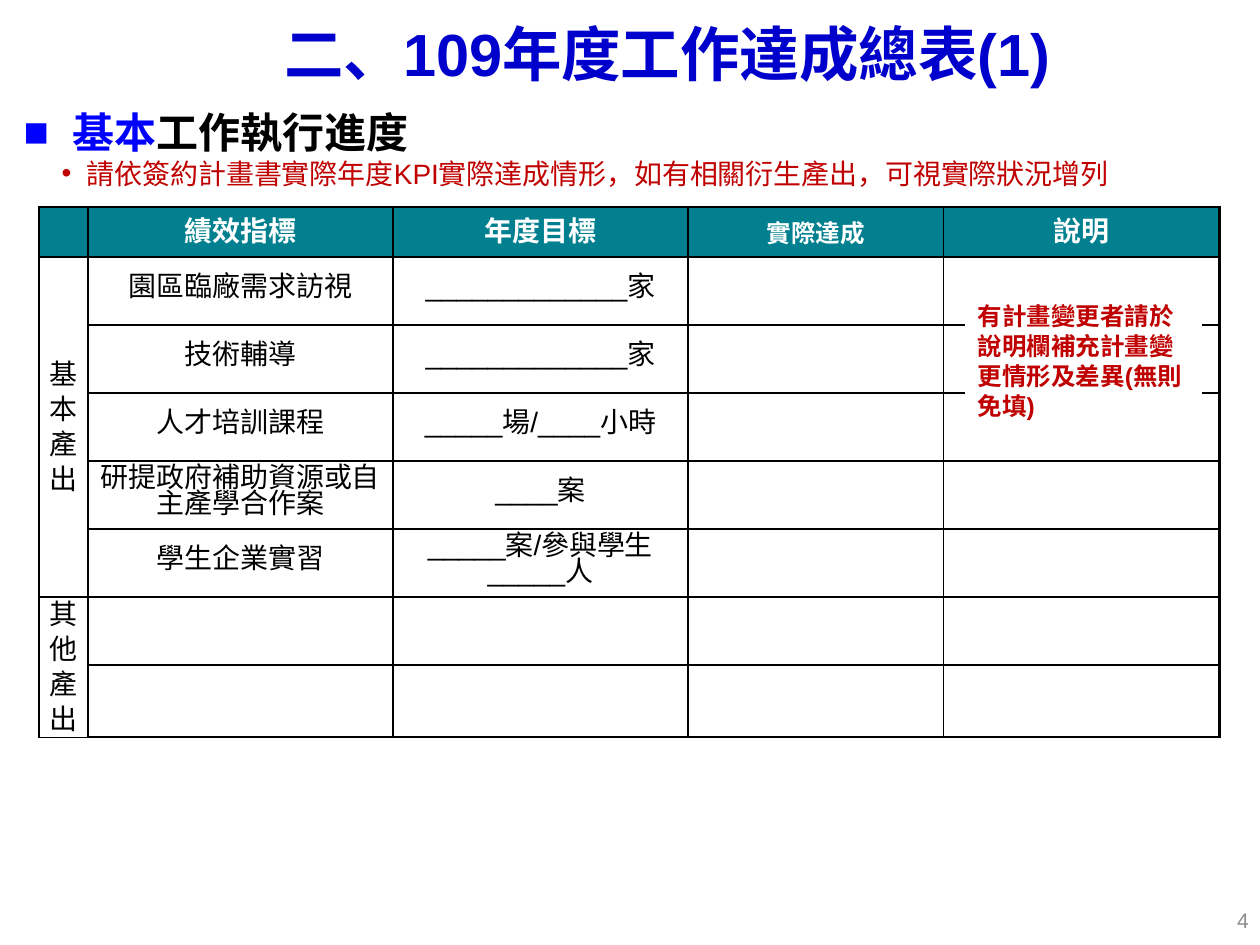
"""Build the annual work achievement summary slide."""
import pptx
import pptx.dml.color
import pptx.enum.shapes
import pptx.enum.text
import pptx.oxml
import pptx.oxml.ns
import pptx.util
from pptx.util import Inches

ALIGN = pptx.enum.text.PP_ALIGN
ANCHOR = pptx.enum.text.MSO_ANCHOR
LATIN, ASIAN = "Arial", "Noto Sans CJK SC"
BLACK, WHITE, RED, TEAL, BLUE = "000000", "FFFFFF", "C00000", "028090", "0000FF"

TITLE = "二、109年度工作達成總表(1)"
HEADING = [("基本", BLUE), ("工作執行進度", BLACK)]
HINT = "請依簽約計畫書實際年度KPI實際達成情形，如有相關衍生產出，可視實際狀況增列"
NOTE = "有計畫變更者請於說明欄補充計畫變更情形及差異(無則免填)"
PAGE_NUMBER = "4"
HEADERS = [("績效指標", 16), ("年度目標", 16), ("實際達成", 14), ("說明", 16)]
INDICATORS = [
    ("園區臨廠需求訪視", "_____________家"),
    ("技術輔導", "_____________家"),
    ("人才培訓課程", "_____場/____小時"),
    ("研提政府補助資源或自主產學合作案", "____案"),
    ("學生企業實習", "_____案/參與學生_____人"),
]
GROUPS = [(1, 5, ["基本", "產出"]), (6, 7, ["其他", "產出"])]
COLUMN_WIDTHS = [0.39, 2.42, 2.34, 2.03, 2.19]
ROW_HEIGHTS = [0.4] + [0.54] * 7


def color(value):
    return pptx.dml.color.RGBColor.from_string(value)


def add_xml(parent, markup):
    space = pptx.oxml.ns.nsdecls("a")
    tag, rest = markup.split(" ", 1)
    parent.append(pptx.oxml.parse_xml(f"<{tag} {space} {rest}"))


def format_paragraph(para, size, ink, bold=False, align=ALIGN.CENTER, spacing=None,
                     left=0, indent=0, bullet=None):
    para.alignment = align
    if spacing:
        para.line_spacing = pptx.util.Pt(spacing)
    properties = para._p.get_or_add_pPr()
    properties.set("marL", str(Inches(left)))
    properties.set("indent", str(Inches(indent)))
    if bullet:
        add_xml(properties, f'a:buClr ><a:srgbClr val="{ink}"/></a:buClr>')
        add_xml(properties, f'a:buFont typeface="{LATIN}"/>')
        add_xml(properties, f'a:buChar char="{bullet}"/>')
    font = para.font
    font.size, font.bold, font.name = pptx.util.Pt(size), bold, LATIN
    font.color.rgb = color(ink)
    add_xml(properties.get_or_add_defRPr(), f'a:ea typeface="{ASIAN}"/>')


def place(shape, left, top, width, height):
    shape.left, shape.top = Inches(left), Inches(top)
    shape.width, shape.height = Inches(width), Inches(height)


def add_text_box(slide, *bounds):
    box = slide.shapes.add_textbox(*map(Inches, bounds))
    box.text_frame.word_wrap = True
    return box.text_frame


def write_cell(cell, lines, size, ink, spacing, margin, bold=False):
    cell.margin_left = cell.margin_right = Inches(margin)
    frame = cell.text_frame
    frame.text = "\n".join(lines)
    for para in frame.paragraphs:
        format_paragraph(para, size, ink, bold, spacing=spacing)


def add_borders(cell, row, column):
    outer = {"lnL": column == 0, "lnR": column == len(COLUMN_WIDTHS) - 1,
             "lnT": row == 0, "lnB": row == len(ROW_HEIGHTS) - 1}
    for side, is_outer in outer.items():
        width = pptx.util.Pt(1.5 if is_outer else 1)
        add_xml(cell._tc.get_or_add_tcPr(),
                f'a:{side} w="{width}"><a:solidFill><a:srgbClr val="{BLACK}"/>'
                f'</a:solidFill></a:{side}>')


def add_summary_table(slide):
    bounds = (0.31, 1.64, sum(COLUMN_WIDTHS), sum(ROW_HEIGHTS))
    table = slide.shapes.add_table(len(ROW_HEIGHTS), len(COLUMN_WIDTHS),
                                   *map(Inches, bounds)).table
    table.first_row = table.horz_banding = False
    for column, width in zip(table.columns, COLUMN_WIDTHS):
        column.width = Inches(width)
    for row, height in enumerate(ROW_HEIGHTS):
        table.rows[row].height = Inches(height)
        for column in range(len(COLUMN_WIDTHS)):
            cell = table.cell(row, column)
            add_borders(cell, row, column)
            cell.margin_top = cell.margin_bottom = 0
            cell.vertical_anchor = ANCHOR.MIDDLE
            cell.fill.solid()
            cell.fill.fore_color.rgb = color(WHITE if row else TEAL)
    for column, (label, size) in enumerate(HEADERS, 1):
        write_cell(table.cell(0, column), [label], size, WHITE, 20, 0.06, True)
    for row, labels in enumerate(INDICATORS, 1):
        for column, label in enumerate(labels, 1):
            write_cell(table.cell(row, column), [label], 16, BLACK, 15, 0.07)
    for first, last, lines in GROUPS:
        table.cell(first, 0).merge(table.cell(last, 0))
        write_cell(table.cell(first, 0), lines, 16, BLACK, 20, 0.06)


deck = pptx.Presentation()
deck.slide_width, deck.slide_height = Inches(10), Inches(7.5)
slide = deck.slides.add_slide(deck.slide_layouts[5])

title = slide.shapes.title
place(title, 0, 0.08, 10, 0.68)
title.text_frame.text = TITLE
title.text_frame.auto_size = pptx.enum.text.MSO_AUTO_SIZE.NONE
title.text_frame.vertical_anchor = ANCHOR.MIDDLE
format_paragraph(title.text_frame.paragraphs[0], 34, "0000CC", True, left=0.59)

intro = add_text_box(slide, 0, 0.78, 10, 0.77)
heading = intro.paragraphs[0]
for text, ink in HEADING:
    span = heading.add_run()
    span.text = text
    span.font.color.rgb = color(ink)
format_paragraph(heading, 24, BLUE, True, ALIGN.JUSTIFY, 30, 0.48, -0.39, "■")
hint = intro.add_paragraph()
hint.text = HINT
format_paragraph(hint, 16, RED, False, ALIGN.JUSTIFY, 19, 0.59, -0.2, "•")

add_summary_table(slide)

number = add_text_box(slide, 7.68, 7.1, 2.33, 0.4)
number.vertical_anchor = ANCHOR.MIDDLE
number.text = PAGE_NUMBER
format_paragraph(number.paragraphs[0], 12, "8C8C8C", align=ALIGN.RIGHT)

note = slide.shapes.add_shape(pptx.enum.shapes.MSO_SHAPE.RECTANGLE,
                              *map(Inches, (7.66, 2.34, 1.88, 1.04)))
note.shadow.inherit = False
note.fill.solid()
note.fill.fore_color.rgb = color(WHITE)
note.line.fill.background()
note.text_frame.word_wrap = True
note.text_frame.vertical_anchor = ANCHOR.TOP
note.text_frame.text = NOTE
format_paragraph(note.text_frame.paragraphs[0], 14, RED, True, ALIGN.LEFT, 17)

deck.save("out.pptx")
